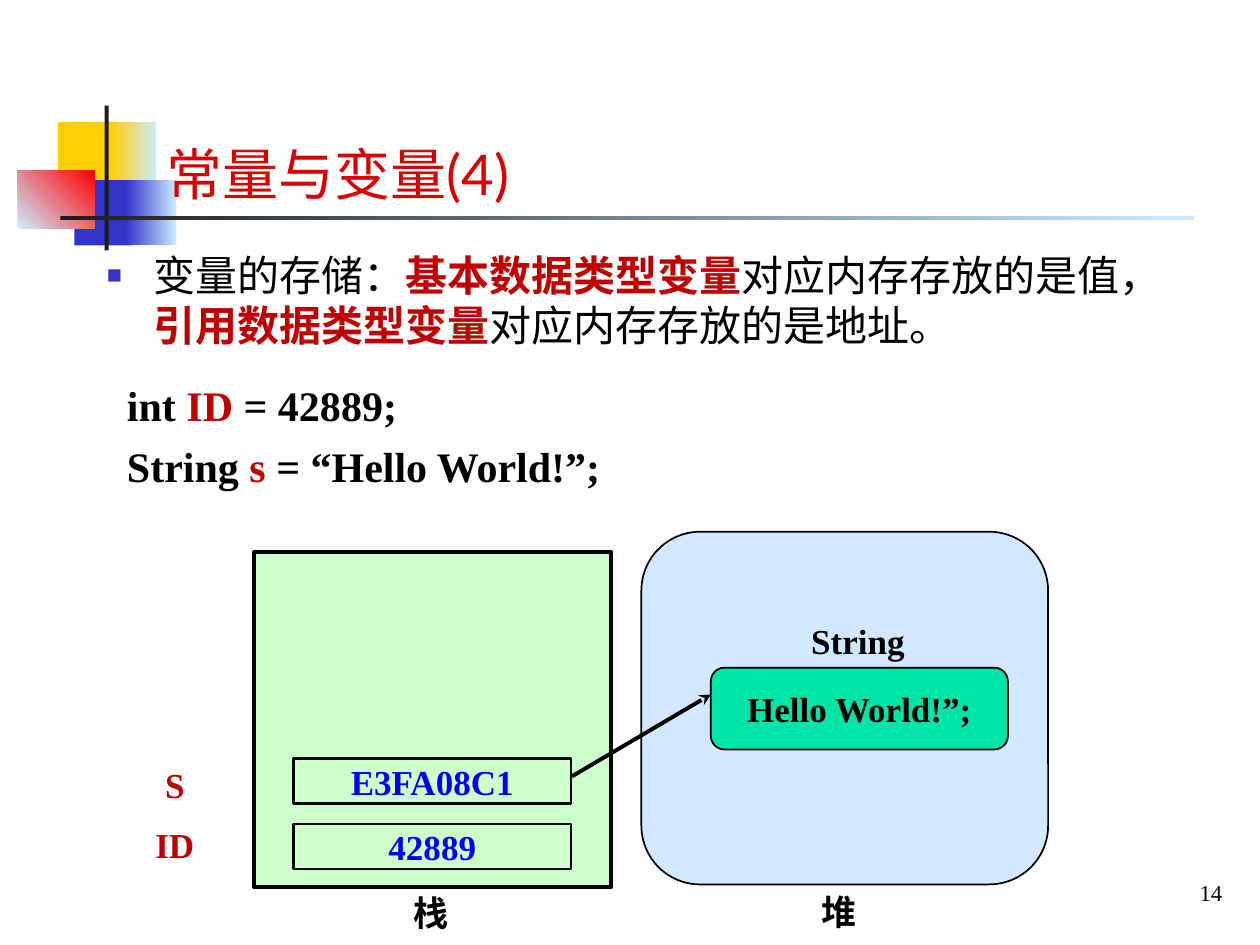
from lxml import etree
from pptx import Presentation
from pptx.dml.color import RGBColor
from pptx.enum.shapes import MSO_CONNECTOR, MSO_SHAPE
from pptx.enum.text import MSO_ANCHOR, MSO_AUTO_SIZE, PP_ALIGN
from pptx.oxml.ns import qn
from pptx.util import Cm, Pt

RECT, ROUNDED = MSO_SHAPE.RECTANGLE, MSO_SHAPE.ROUNDED_RECTANGLE
STRAIGHT = MSO_CONNECTOR.STRAIGHT
TOP, MIDDLE, BOTTOM = MSO_ANCHOR.TOP, MSO_ANCHOR.MIDDLE, MSO_ANCHOR.BOTTOM
LEFT, CENTER, RIGHT = PP_ALIGN.LEFT, PP_ALIGN.CENTER, PP_ALIGN.RIGHT

BLACK = RGBColor(0x00, 0x00, 0x00)
CHARCOAL = RGBColor(0x1C, 0x1C, 0x1C)
YELLOW = RGBColor(0xFF, 0xCF, 0x01)
INDIGO = RGBColor(0x33, 0x33, 0xCC)
PALE_BLUE = RGBColor(0xCC, 0xEC, 0xFF)
RED = RGBColor(0xFF, 0x00, 0x00)
TITLE_RED = RGBColor(0xD8, 0x00, 0x00)
KEY_RED = RGBColor(0xC0, 0x00, 0x00)
VALUE_BLUE = RGBColor(0x00, 0x00, 0xFF)
STACK_GREEN = RGBColor(0xCC, 0xFF, 0xCC)
HEAP_BLUE = RGBColor(0x99, 0xCC, 0xFF)
OBJECT_GREEN = RGBColor(0x00, 0xE4, 0xA8)

SERIF, SANS = "Times New Roman", "Lato"
HANGING = Cm(0.95)


class SlideBuilder:
    """Holds the current slide and the shape collection being drawn into."""

    def __init__(self, page):
        self.page = page
        self.canvas = page.shapes

    def start_group(self):
        self.canvas = self.page.shapes.add_group_shape().shapes

    def shape(self, kind, place, fill, line=None, fade=None, angle=0, alpha=None):
        box = self.canvas.add_shape(kind, *map(Cm, place))
        box.shadow.inherit = False
        if fade is None:
            box.fill.solid()
            box.fill.fore_color.rgb = fill
        else:
            box.fill.gradient()
            box.fill.gradient_angle = angle
            for stop, color in zip(box.fill.gradient_stops, (fill, fade)):
                stop.color.rgb = color
        if alpha is not None:
            color = box.element.spPr.find(qn("a:solidFill"))[0]
            etree.SubElement(color, qn("a:alpha")).set("val", str(alpha * 1000))
        if line is None:
            box.line.fill.background()
        else:
            box.line.color.rgb = BLACK
            box.line.width = Pt(line)
        return box

    def set_text(self, box, lines, size, font=SERIF, bold=None, align=CENTER,
                 anchor=MIDDLE, wrap=False, before=0, hanging=False):
        """Each line is a list of (text, color) or (text, color, bold) spans."""
        frame = box.text_frame
        frame.auto_size = MSO_AUTO_SIZE.NONE
        frame.word_wrap = wrap
        frame.vertical_anchor = anchor
        for number, spans in enumerate(lines):
            para = frame.add_paragraph() if number else frame.paragraphs[0]
            para.alignment = align
            para.space_before = Pt(before)
            para.font.size, para.font.name, para.font.bold = Pt(size), font, bold
            if hanging:
                props = para._p.get_or_add_pPr()
                props.set("marL", str(HANGING))
                props.set("indent", str(-HANGING))
            for text, color, *weight in spans:
                span = para.add_run()
                span.text = text
                span.font.color.rgb = color
                # Fonts stated on the span also reach the placeholder text
                span.font.size, span.font.name = Pt(size), font
                span.font.bold = weight[0] if weight else bold

    def text(self, place, lines, size, **style):
        box = self.canvas.add_textbox(*map(Cm, place))
        self.set_text(box, lines, size, **style)

    def label(self, place, text, color=BLACK, **style):
        self.text(place, [[(text, color)]], 20, bold=True, **style)

    def placeholder(self, index, place, lines, size, **style):
        box = self.page.placeholders[index]
        box.left, box.top, box.width, box.height = map(Cm, place)
        self.set_text(box, lines, size, **style)
        # Bring the text in front of the decoration
        self.page.shapes.element.append(box.element)
        return box

    def bullet(self, para, mark, color, percent):
        props = para._p.get_or_add_pPr()
        tint = etree.SubElement(props, qn("a:buClr"))
        etree.SubElement(tint, qn("a:srgbClr")).set("val", str(color))
        etree.SubElement(props, qn("a:buSzPct")).set("val", str(percent * 1000))
        etree.SubElement(props, qn("a:buChar")).set("char", mark)
        # Paragraph font defaults come after the bullet in the schema
        defaults = props.find(qn("a:defRPr"))
        if defaults is not None:
            props.append(defaults)

    def arrow(self, start, end, width):
        arrow = self.canvas.add_connector(STRAIGHT, *map(Cm, start + end))
        arrow.line.color.rgb = BLACK
        arrow.line.width = Pt(width)
        outline = arrow.element.spPr.find(qn("a:ln"))
        etree.SubElement(outline, qn("a:tailEnd")).set("type", "stealth")
        etree.SubElement(arrow.element.spPr, qn("a:effectLst"))


def main():
    deck = Presentation()
    deck.slide_width, deck.slide_height = Cm(25.4), Cm(19.05)
    page = deck.slides.add_slide(deck.slide_layouts[1])
    builder = SlideBuilder(page)

    # Corner decoration and title rule
    builder.shape(RECT, (1.17, 2.46, 1.22, 1.32), YELLOW)
    builder.shape(RECT, (2.24, 2.46, 0.91, 1.32), YELLOW, fade=PALE_BLUE)
    builder.shape(RECT, (1.5, 3.63, 1.17, 1.32), INDIGO)
    builder.shape(RECT, (2.54, 3.63, 1.02, 1.32), INDIGO, fade=PALE_BLUE)
    builder.shape(RECT, (0.36, 3.43, 1.55, 1.17), PALE_BLUE, fade=RED, angle=45)
    builder.shape(RECT, (2.11, 2.13, 0.08, 2.92), CHARCOAL)
    builder.shape(RECT, (1.22, 4.35, 22.86, 0.08), CHARCOAL, fade=PALE_BLUE)

    # Page number, title and main point
    builder.text((20.04, 17.53, 4.85, 0.94), [[("14", BLACK)]], 13, align=RIGHT)
    builder.placeholder(0, (3.1, 1.52, 21.39, 2.77), [[("常量与变量(4)", TITLE_RED)]],
                        32, font=SANS, align=LEFT, anchor=BOTTOM, wrap=True)
    point = [("变量的存储：", BLACK), ("基本数据类型变量", KEY_RED, True),
             ("对应内存存放的是值，", BLACK), ("引用数据类型变量", KEY_RED, True),
             ("对应内存存放的是地址。", BLACK)]
    body = builder.placeholder(1, (1.9, 4.9, 21.59, 11.43), [point], 24, align=LEFT,
                               anchor=TOP, wrap=True, before=6, hanging=True)
    builder.bullet(body.text_frame.paragraphs[0], "■", INDIGO, 60)

    # Declarations
    code = [[("int ", BLACK), ("ID", KEY_RED), (" = 42889;", BLACK)],
            [("String ", BLACK), ("s", KEY_RED), (" = “Hello World!”;", BLACK)]]
    builder.text((2.31, 7.52, 21.59, 9.35), code, 24, bold=True, align=LEFT,
                 anchor=TOP, wrap=True, before=6, hanging=True)

    # Stack with its two variables
    builder.start_group()
    builder.shape(RECT, (5.13, 11.13, 7.19, 6.76), STACK_GREEN, line=2.25)
    for name, value, cell_top, name_top in (("ID", "42889", 16.61, 16.51),
                                            ("S", "E3FA08C1", 15.29, 15.29)):
        cell = builder.shape(RECT, (5.92, cell_top, 5.59, 0.91), STACK_GREEN, line=1.5)
        builder.set_text(cell, [[(value, VALUE_BLUE)]], 20, bold=True)
        builder.label((2.13, name_top, 2.79, 1.04), name, KEY_RED)
    builder.label((7.29, 17.88, 2.79, 1.04), "栈")

    # Heap with the referenced object
    builder.start_group()
    builder.shape(ROUNDED, (12.93, 10.72, 8.2, 7.11), HEAP_BLUE, line=1, alpha=45)
    target = builder.shape(ROUNDED, (14.33, 13.46, 5.99, 1.65), OBJECT_GREEN, line=1)
    builder.set_text(target, [[("Hello World!”;", BLACK)]], 20, bold=True)
    builder.label((16.1, 12.37, 2.39, 1.12), "String", anchor=TOP)
    builder.label((15.52, 17.83, 2.79, 1.09), "堆")
    builder.arrow((11.53, 15.65), (14.33, 14), 2.25)

    deck.save("out.pptx")


if __name__ == "__main__":
    main()
